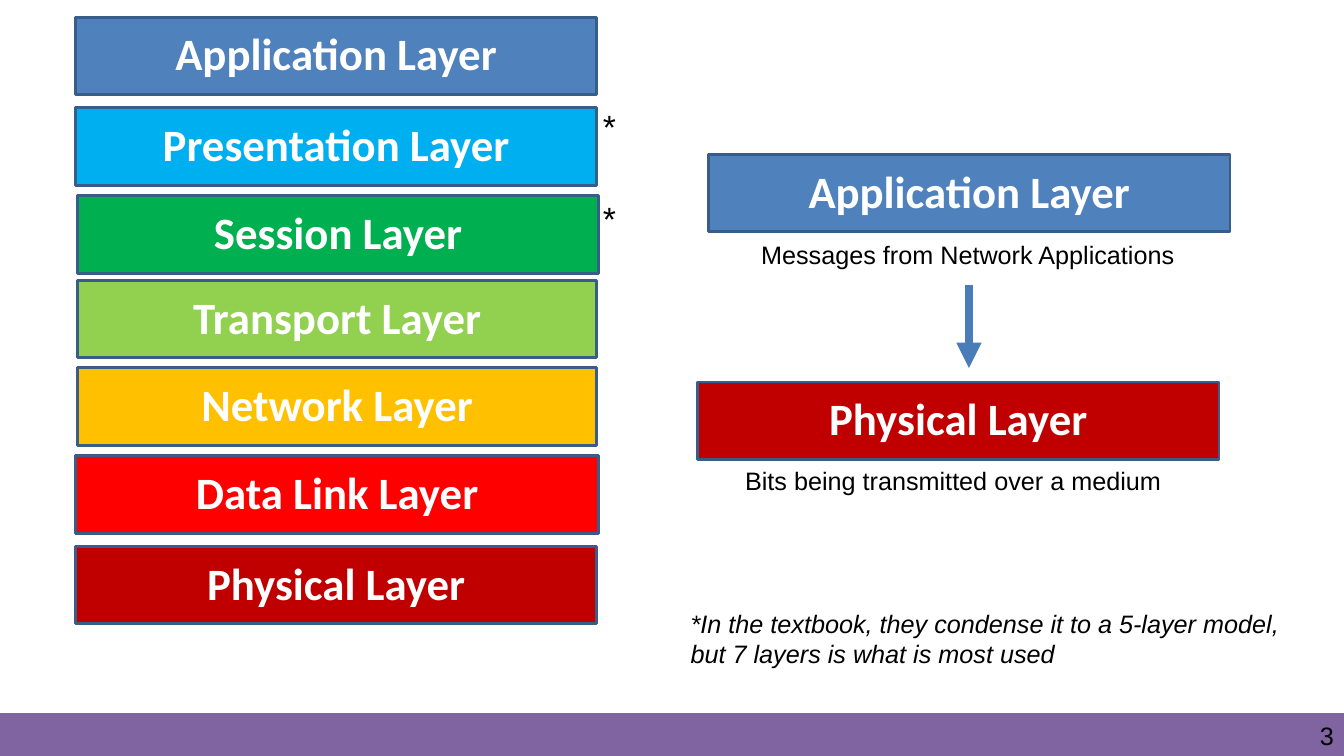
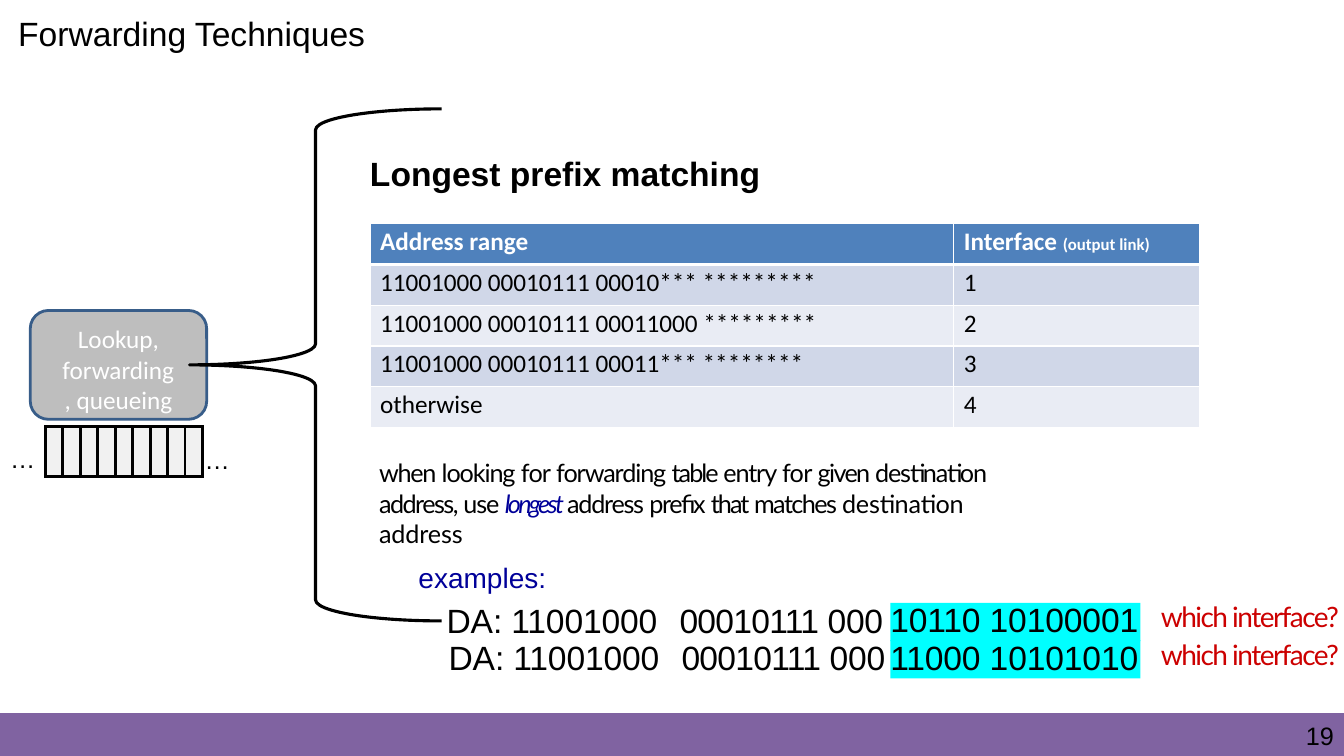
from pptx import Presentation
from pptx.dml.color import RGBColor
from pptx.enum.shapes import MSO_CONNECTOR, MSO_SHAPE
from pptx.enum.text import MSO_ANCHOR, PP_ALIGN
from pptx.oxml import parse_xml
from pptx.oxml.ns import nsdecls
from pptx.util import Inches, Pt
from lxml.etree import SubElement
from pptx.oxml.ns import qn

BLACK = RGBColor(0x00, 0x00, 0x00)
WHITE = RGBColor(0xFF, 0xFF, 0xFF)
PURPLE = RGBColor(0x80, 0x63, 0xA1)
BLUE = RGBColor(0x4F, 0x81, 0xBC)
SKY = RGBColor(0x00, 0xAF, 0xEF)
GREEN = RGBColor(0x00, 0xAF, 0x50)
LIME = RGBColor(0x92, 0xD0, 0x50)
AMBER = RGBColor(0xFF, 0xC0, 0x00)
RED = RGBColor(0xFF, 0x00, 0x00)
MAROON = RGBColor(0xC0, 0x00, 0x00)
OUTLINE = RGBColor(0x38, 0x5D, 0x89)
ARROW = RGBColor(0x49, 0x7D, 0xBA)
GRAY = RGBColor(0xBE, 0xBE, 0xBE)
PALE_GRAY = RGBColor(0xF1, 0xF1, 0xF1)
BAND_DARK = RGBColor(0xD0, 0xD7, 0xE8)
BAND_LIGHT = RGBColor(0xE9, 0xEC, 0xF4)
CYAN = RGBColor(0x00, 0xFF, 0xFF)
NAVY = RGBColor(0x00, 0x00, 0x99)
CRIMSON = RGBColor(0xCC, 0x00, 0x00)


def open_text(shape, top=0.02, side=0):
    frame = shape.text_frame
    frame.word_wrap = True
    frame.vertical_anchor = MSO_ANCHOR.TOP
    frame.margin_left = frame.margin_right = Inches(side)
    frame.margin_top = Inches(top)
    frame.margin_bottom = 0
    return frame.paragraphs[0]


def write(paragraph, pieces, size, color=BLACK, face="Arial", bold=False,
          italic=None, align=PP_ALIGN.LEFT, tab=None):
    paragraph.alignment = align
    if tab:
        stops = SubElement(paragraph._p.get_or_add_pPr(), qn("a:tabLst"))
        SubElement(stops, qn("a:tab"), pos=str(Inches(tab)), algn="l")
    font = paragraph.font
    font.size, font.name, font.bold, font.italic = Pt(size), face, bold, italic
    font.color.rgb = color
    for text, spacing in [(pieces, 0)] if isinstance(pieces, str) else pieces:
        run = paragraph.add_run()
        run.text = text
        if spacing:
            run._r.get_or_add_rPr().set("spc", str(round(spacing * 100)))


deck = Presentation()
deck.slide_width = Inches(13.33)
deck.slide_height = Inches(7.5)

for number in ("3", "19"):
    slide = deck.slides.add_slide(deck.slide_layouts[6])
    band = slide.shapes.add_shape(
        MSO_SHAPE.RECTANGLE, 0, Inches(7.08), Inches(13.33), Inches(0.42))
    band.shadow.inherit = False
    band.fill.solid()
    band.fill.fore_color.rgb = PURPLE
    band.line.color.rgb = PURPLE
    band.line.width = Pt(1)
    page = slide.shapes.add_textbox(
        Inches(12.73), Inches(7.15), Inches(0.5), Inches(0.31))
    write(open_text(page, top=0), number, 18, align=PP_ALIGN.RIGHT)

layers, forwarding = (slide.shapes for slide in deck.slides)

for name, color, left, top, width in (
    ("Application", BLUE, 0.75, 0.17, 5.17),
    ("Presentation", SKY, 0.75, 1.07, 5.17),
    ("Session", GREEN, 0.77, 1.94, 5.17),
    ("Transport", LIME, 0.77, 2.78, 5.15),
    ("Network", AMBER, 0.77, 3.65, 5.15),
    ("Data Link", RED, 0.75, 4.52, 5.19),
    ("Physical", MAROON, 0.75, 5.42, 5.17),
    ("Application", BLUE, 7.03, 1.53, 5.17),
    ("Physical", MAROON, 6.92, 3.79, 5.17),
):
    layer = layers.add_shape(
        MSO_SHAPE.RECTANGLE, Inches(left), Inches(top), Inches(width), Inches(0.77))
    layer.shadow.inherit = False
    layer.fill.solid()
    layer.fill.fore_color.rgb = color
    layer.line.color.rgb = OUTLINE
    layer.line.width = Pt(2)
    write(open_text(layer, top=0.09), f"{name} Layer", 32, WHITE, "Calibri",
          bold=True, align=PP_ALIGN.CENTER)

flow = layers.add_connector(
    MSO_CONNECTOR.STRAIGHT, Inches(9.61), Inches(2.83), Inches(9.61), Inches(3.65))
flow.line.color.rgb = ARROW
flow.line.width = Pt(6)
SubElement(flow.line._get_or_add_ln(), qn("a:tailEnd"), type="triangle")
SubElement(flow._element.spPr, qn("a:effectLst"))

for shapes, text, size, bold, left, top, width, height in (
    (layers, "*", 24, False, 5.98, 1.03, 0.2, 0.43),
    (layers, "*", 24, False, 5.98, 1.94, 0.2, 0.43),
    (layers, "Messages from Network Applications", 18, False, 7.55, 2.35, 4.4, 0.33),
    (layers, "Bits being transmitted over a medium", 18, False, 7.39, 4.6, 4.4, 0.33),
    (forwarding, "Forwarding Techniques", 24, False, 0.18, 0.11, 6.08, 0.49),
    (forwarding, "Longest prefix matching", 24, True, 3.67, 1.5, 4.2, 0.43),
    (forwarding, "…", 18, False, 0.1, 4.38, 0.28, 0.33),
    (forwarding, "…", 18, False, 2.03, 4.39, 0.28, 0.33),
):
    label = shapes.add_textbox(
        Inches(left), Inches(top), Inches(width), Inches(height))
    write(open_text(label), text, size, bold=bold)

footnote = layers.add_textbox(Inches(6.85), Inches(6.01), Inches(6.2), Inches(0.61))
first_line = open_text(footnote)
write(first_line, "*In the textbook, they condense it to a 5-layer model,", 18, italic=True)
write(footnote.text_frame.add_paragraph(), "but 7 layers is what is most used", 18,
      italic=True)

lookup = forwarding.add_shape(
    MSO_SHAPE.ROUNDED_RECTANGLE, Inches(0.3), Inches(3.08), Inches(1.75), Inches(1.08))
lookup.shadow.inherit = False
lookup.fill.solid()
lookup.fill.fore_color.rgb = GRAY
lookup.line.color.rgb = OUTLINE
lookup.line.width = Pt(2)
write(open_text(lookup, top=0.08, side=0.25), "Lookup, forwarding, queueing", 18,
      WHITE, "Calibri", align=PP_ALIGN.CENTER)

brace = forwarding.add_shape(
    MSO_SHAPE.LEFT_BRACE, Inches(1.88), Inches(1.08), Inches(2.5), Inches(5.08))
brace.shadow.inherit = False
brace.fill.background()
brace.line.color.rgb = BLACK
brace.line.width = Pt(2.25)

queue = forwarding.add_table(
    1, 9, Inches(0.45), Inches(4.23), Inches(1.56), Inches(0.5)).table
for column in queue.columns:
    column.width = Inches(1.56 / 9)

routes = [
    ("Address range", [("Interface ", 0), ("(output link)", 0)]),
    ("11001000 00010111 00010*** *********", "1"),
    ("11001000 00010111 00011000 *********", "2"),
    ("11001000 00010111 00011*** ********", "3"),
    ("otherwise", "4"),
]
routing = forwarding.add_table(
    len(routes), 2, Inches(3.67), Inches(2.22), Inches(8.23), Inches(2.02)).table
routing.columns[0].width = Inches(5.79)
routing.columns[1].width = Inches(2.44)

for table, edge, thickness, fills, inset in (
    (queue, BLACK, 2.25, [PALE_GRAY], 0),
    (routing, WHITE, 1, [BLUE] + [BAND_DARK, BAND_LIGHT] * 2, 0.1),
):
    table.first_row = table.horz_banding = False
    for row_index, row in enumerate(table.rows):
        for cell in row.cells:
            cell.margin_left, cell.margin_right = Inches(inset), 0
            cell.margin_top, cell.margin_bottom = Inches(0.03), 0
            for side in "LRTB":
                under_header = table is routing and (row_index, side) in ((0, "B"), (1, "T"))
                weight = Pt(3 if under_header else thickness)
                cell._tc.get_or_add_tcPr().append(parse_xml(
                    f'<a:ln{side} {nsdecls("a")} w="{weight}"><a:solidFill>'
                    f'<a:srgbClr val="{edge}"/></a:solidFill></a:ln{side}>'))
            cell.fill.solid()
            cell.fill.fore_color.rgb = fills[row_index]

for row_index, route in enumerate(routes):
    header = row_index == 0
    for column_index, text in enumerate(route):
        write(routing.cell(row_index, column_index).text_frame.paragraphs[0], text, 18,
              WHITE if header else BLACK, "Calibri", bold=header)
routing.cell(0, 1).text_frame.paragraphs[0].runs[1].font.size = Pt(12)

rule = forwarding.add_textbox(Inches(3.76), Inches(4.52), Inches(6.22), Inches(1.38))
rule_text = open_text(rule)
write(rule_text, [
    ("when ", -0.9), ("looking ", -0.8), ("for ", -0.6), ("forwarding ", -0.8),
    ("table ", -1.4), ("entry ", -0.8), ("for ", -0.5), ("given ", -1.2),
    ("destination ", -0.8), ("address, ", -1.1), ("use ", -0.8), ("longest ", -1.9),
    ("address ", -0.9), ("prefix ", -1), ("that ", -1.4), ("matches ", -1.1),
    ("destination address", -0.1),
], 18, face="Lato")
emphasis = rule_text.runs[11].font
emphasis.italic = True
emphasis.color.rgb = NAVY
examples = rule.text_frame.add_paragraph()
examples.space_before = Pt(8.7)
examples._p.get_or_add_pPr().set("marL", str(Inches(0.39)))
write(examples, "examples:", 20, NAVY)

for index, suffix in enumerate(("10110 10100001", "11000 10101010")):
    drop = 0.37 * index
    address = forwarding.add_textbox(
        Inches(4.43 + 0.02 * index), Inches(5.93 + drop), Inches(4.4), Inches(0.43))
    write(open_text(address),
          [("DA: 11001000\t", -0.1), ("00010111 ", -0.5), ("000", -0.2)], 24, tab=2.31)

    remainder = forwarding.add_shape(
        MSO_SHAPE.RECTANGLE, Inches(8.83), Inches(5.98 + drop), Inches(2.48), Inches(0.38))
    remainder.shadow.inherit = False
    remainder.fill.solid()
    remainder.fill.fore_color.rgb = CYAN
    remainder.line.fill.background()
    digits = open_text(remainder, top=0)
    digits.line_spacing = Pt(26.2)
    write(digits, [(suffix, -0.1)], 24)

    question = forwarding.add_textbox(
        Inches(11.28), Inches(5.93 + drop), Inches(2), Inches(0.4))
    write(open_text(question), [("which interface?", -1.1)], 20, CRIMSON, "Lato",
          align=PP_ALIGN.RIGHT)

deck.save("out.pptx")
